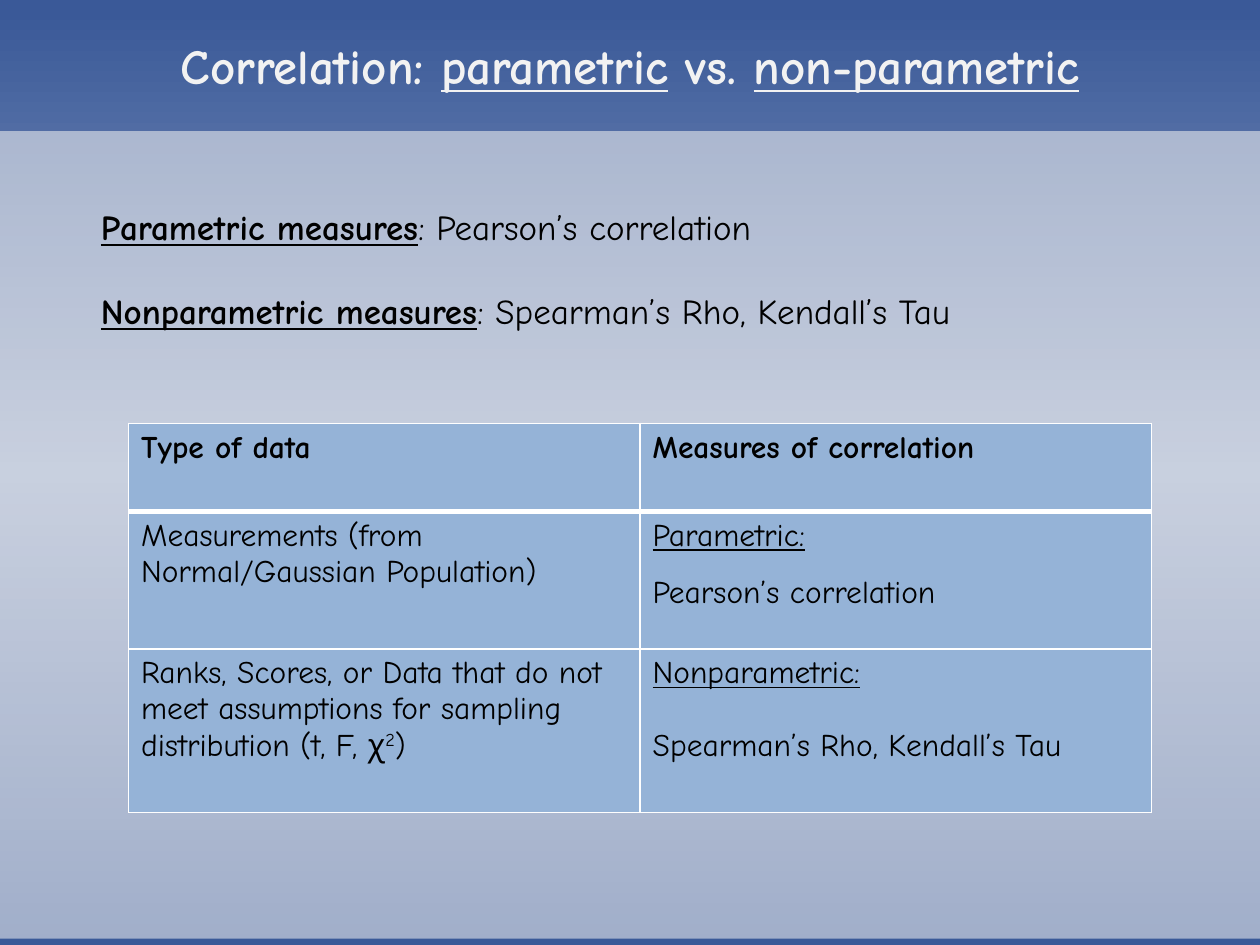
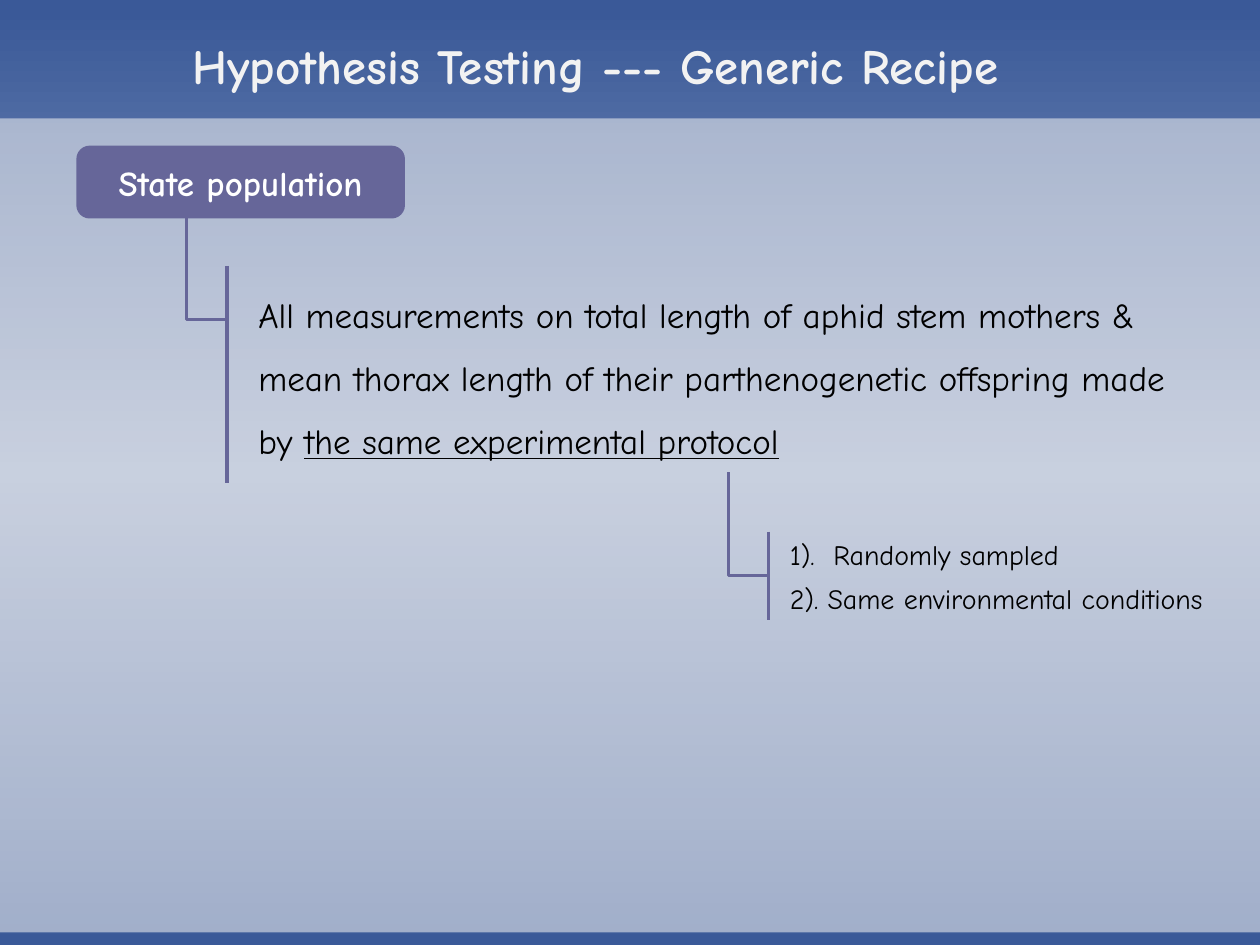
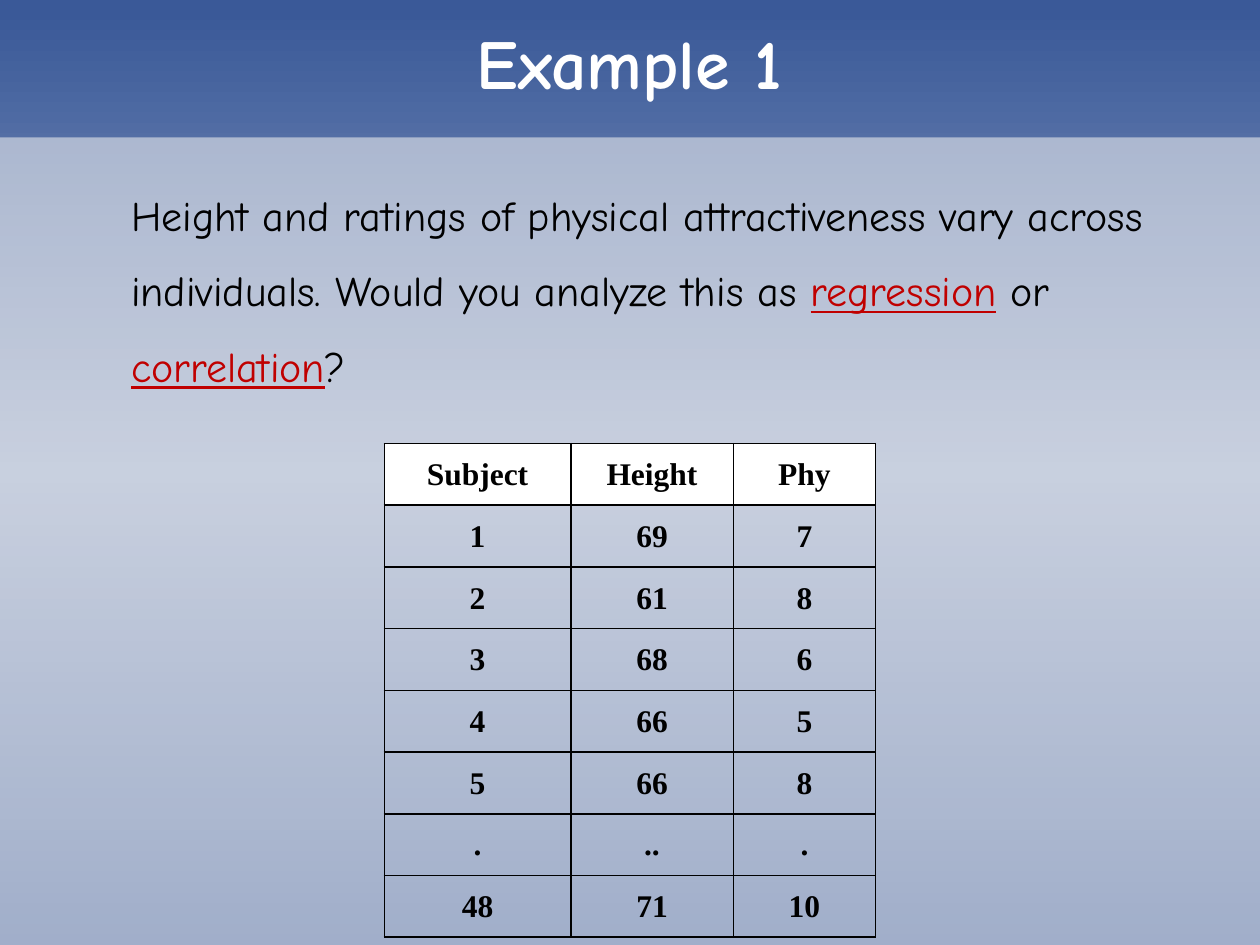
from lxml.etree import SubElement
from pptx import Presentation
from pptx.dml.color import RGBColor
from pptx.enum.shapes import MSO_CONNECTOR, MSO_SHAPE
from pptx.enum.text import MSO_ANCHOR, MSO_AUTO_SIZE, PP_ALIGN
from pptx.oxml import parse_xml
from pptx.oxml.ns import nsdecls, qn
from pptx.util import Inches, Pt

HUE = {
    "band": "3A5998", "glow": "94A5C7", "panel": "F2F2F2", "white": "FFFFFF",
    "text": "000000", "key": "C00000", "cell": "95B3D7", "box": "666699",
}
FONT = "Comic Neue"
SERIF = "Times New Roman"


def tint(name):
    return RGBColor.from_string(HUE[name])


def write(frame, paras, size, hue="text", bold=False, lines=1.0,
          align=PP_ALIGN.LEFT, font=FONT):
    """Each paragraph is a string or a list of (text, marks); marks are
    b bold, u underline, k key colour, s superscript."""
    frame.word_wrap = True
    for at, para in enumerate(paras):
        line = frame.paragraphs[0] if at == 0 else frame.add_paragraph()
        line.alignment = align
        line.line_spacing = lines
        line.space_before = Pt(0)
        parts = [(para, "")] if isinstance(para, str) else para
        for text, marks in parts:
            run = line.add_run()
            run.text = text
            face = run.font
            face.name = font
            face.size = Pt(size)
            face.bold = bold or "b" in marks
            face.underline = "u" in marks
            face.color.rgb = tint("key" if "k" in marks else hue)
            if "s" in marks:
                run._r.get_or_add_rPr().set("baseline", "30000")


def place(shape, box):
    shape.left, shape.top, shape.width, shape.height = map(Inches, box)
    frame = shape.text_frame
    frame.auto_size = MSO_AUTO_SIZE.NONE
    frame.vertical_anchor = MSO_ANCHOR.TOP
    return frame


def set_back(master):
    fill = master.background.fill
    fill.gradient()
    fill.gradient_angle = 270
    stops = master._element.find(".//" + qn("a:gsLst"))
    for stop in list(stops):
        stops.remove(stop)
    for spot, name in ((0, "band"), (1, "band"), (50, "glow"), (100, "band")):
        stop = SubElement(stops, qn("a:gs"), pos=str(spot * 1000))
        SubElement(stop, qn("a:srgbClr"), val=HUE[name])


def add_base(deck, top, foot=7.5):
    slide = deck.slides.add_slide(deck.slide_layouts[1])
    panel = slide.shapes.add_shape(
        MSO_SHAPE.RECTANGLE, 0, Inches(top), deck.slide_width, Inches(foot - top))
    panel.shadow.inherit = False
    panel.line.fill.background()
    panel.fill.solid()
    panel.fill.fore_color.rgb = tint("panel")
    shade = panel._element.spPr.find(".//" + qn("a:srgbClr"))
    SubElement(shade, qn("a:alpha"), val="56000")
    slide.shapes._spTree.insert(2, panel._element)
    return slide


def add_title(slide, parts, box=(0, 0, 10, 0.73), size=28, hue="panel", lines=1.5):
    frame = place(slide.shapes.title, box)
    write(frame, [parts], size, hue, True, lines, PP_ALIGN.CENTER)
    return frame


def add_body(slide, box, paras, size, lines):
    frame = place(slide.placeholders[1], box)
    write(frame, paras, size, lines=lines)
    for line in frame.paragraphs:
        props = line._p.get_or_add_pPr()
        props.set("marL", "0")
        props.set("indent", "0")
        SubElement(props, qn("a:buNone"))


def set_edge(cell, hue, widths):
    props = cell._tc.get_or_add_tcPr()
    for at, (side, width) in enumerate(zip("LRTB", widths)):
        props.insert(at, parse_xml(
            f'<a:ln{side} {nsdecls("a")} w="{Pt(width)}"><a:solidFill>'
            f'<a:srgbClr val="{HUE[hue]}"/></a:solidFill></a:ln{side}>'))


def add_grid(slide, left, top, cols, rows):
    table = slide.shapes.add_table(
        len(rows), len(cols), Inches(left), Inches(top),
        Inches(sum(cols)), Inches(sum(rows))).table
    table.first_row = table.horz_banding = False
    for col, width in zip(table.columns, cols):
        col.width = Inches(width)
    for row, height in zip(table.rows, rows):
        row.height = Inches(height)
    return table


def add_types(slide, left, top):
    cells = [
        [["Type of data"], ["Measures of correlation"]],
        [["Measurements (from Normal/Gaussian Population)"],
         [[("Parametric:", "u")], "Pearson’s correlation"]],
        [[[("Ranks, Scores, or Data that do not meet assumptions for sampling "
            "distribution (t, F, χ", ""), ("2", "s"), (")", "")]],
         [[("Nonparametric:", "u")], "Spearman’s Rho, Kendall’s Tau"]],
    ]
    table = add_grid(slide, left, top, [4.06] * 2, [0.7, 1.09, 1.3])
    for r, row in enumerate(cells):
        for c, paras in enumerate(row):
            cell = table.cell(r, c)
            cell.fill.solid()
            cell.fill.fore_color.rgb = tint("cell")
            write(cell.text_frame, paras, 18, bold=r == 0)
            set_edge(cell, "white", (1, 1, 3 if r == 1 else 1, 3 if r == 0 else 1))
    table.cell(1, 1).text_frame.paragraphs[0].space_after = Pt(12)
    table.cell(2, 1).text_frame.paragraphs[1].line_spacing = 2.0


def add_scores(slide, left, top):
    rows = [("Subject", "Height", "Phy"), ("1", "69", "7"), ("2", "61", "8"),
            ("3", "68", "6"), ("4", "66", "5"), ("5", "66", "8"),
            (".", "..", "."), ("48", "71", "10")]
    table = add_grid(slide, left, top, [1.48, 1.29, 1.13], [0.49] * len(rows))
    for r, row in enumerate(rows):
        for c, text in enumerate(row):
            cell = table.cell(r, c)
            cell.margin_left = cell.margin_right = Inches(0.07)
            cell.margin_top = cell.margin_bottom = Inches(0.07)
            if r == 0:
                cell.fill.solid()
                cell.fill.fore_color.rgb = tint("white")
            else:
                cell.fill.background()
            write(cell.text_frame, [text], 18, bold=True, lines=1.15,
                  align=PP_ALIGN.CENTER, font=SERIF)
            set_edge(cell, "text", (1, 1, 1, 1))


def add_line(slide, kind, start, end):
    line = slide.shapes.add_connector(kind, *map(Inches, (*start, *end)))
    line.line.color.rgb = tint("box")
    line.line.width = Pt(2)
    SubElement(line._element.spPr, qn("a:effectLst"))
    return line


def add_branch(slide, left, top, high, low):
    drop, reach = 0.7, 0.32
    x = left + (reach - drop) / 2
    y = top + (drop - reach) / 2
    bend = add_line(slide, MSO_CONNECTOR.ELBOW, (x, y), (x + drop, y + reach))
    props = bend._element.spPr
    props.xfrm.set("rot", "16200000")
    props.xfrm.set("flipH", "1")
    guides = props.find(qn("a:prstGeom")).find(qn("a:avLst"))
    SubElement(guides, qn("a:gd"), name="adj1", fmla="val 116800")
    bar = left + reach
    add_line(slide, MSO_CONNECTOR.STRAIGHT, (bar, high), (bar, low))


def add_state(slide, box):
    state = slide.shapes.add_shape(MSO_SHAPE.ROUNDED_RECTANGLE, *map(Inches, box))
    state.shadow.inherit = False
    state.fill.solid()
    state.fill.fore_color.rgb = tint("box")
    state.line.color.rgb = tint("box")
    state.line.width = Pt(2)
    state.text_frame.vertical_anchor = MSO_ANCHOR.MIDDLE
    write(state.text_frame, ["State population"], 20, "white", True,
          align=PP_ALIGN.CENTER)


def add_notes(slide, box):
    notes = slide.shapes.add_textbox(*map(Inches, box))
    write(notes.text_frame,
          ["1).  Randomly sampled", "2). Same environmental conditions"],
          16, lines=1.3)


def make_types(deck):
    slide = add_base(deck, 1.04, 7.45)
    add_title(slide, [("Correlation: ", ""), ("parametric", "u"),
                      (" vs. ", ""), ("non-parametric", "u")])
    add_body(slide, (0.7, 1.25, 8.44, 1.45), [
        [("Parametric measures", "bu"), (": Pearson’s correlation", "")],
        [("Nonparametric measures", "bu"), (": Spearman’s Rho, Kendall’s Tau", "")],
    ], 20, 2.0)
    add_types(slide, 1.02, 3.36)


def make_recipe(deck):
    slide = add_base(deck, 0.94, 7.4)
    frame = add_title(slide, "Hypothesis Testing --- Generic Recipe")
    frame.margin_right = Inches(0.65)
    add_state(slide, (0.62, 1.17, 2.58, 0.55))
    add_branch(slide, 1.48, 1.72, 2.11, 3.83)
    add_body(slide, (1.95, 2.11, 7.42, 1.65), [
        [("All measurements on total length of aphid stem mothers & mean thorax "
          "length of their parthenogenetic offspring made by ", ""),
         ("the same experimental protocol", "u")],
    ], 20, 1.5)
    add_branch(slide, 5.78, 3.75, 4.22, 4.92)
    add_notes(slide, (6.17, 4.14, 3.83, 0.8))


def make_case(deck):
    slide = add_base(deck, 1.09)
    add_title(slide, "Example 1", (0.62, 0.23, 8.75, 0.65), 40, "white", 0.8)
    add_body(slide, (0.94, 1.25, 8.36, 1.92), [
        [("Height and ratings of physical attractiveness vary across individuals. "
          "Would you analyze this as ", ""), ("regression", "uk"), (" or ", ""),
         ("correlation", "uk"), ("?", "")],
    ], 24, 1.5)
    add_scores(slide, 3.05, 3.52)


def main():
    deck = Presentation()
    deck.slide_width, deck.slide_height = Inches(10), Inches(7.5)
    set_back(deck.slide_master)
    for make in (make_types, make_recipe, make_case):
        make(deck)
    deck.save("out.pptx")


if __name__ == "__main__":
    main()
